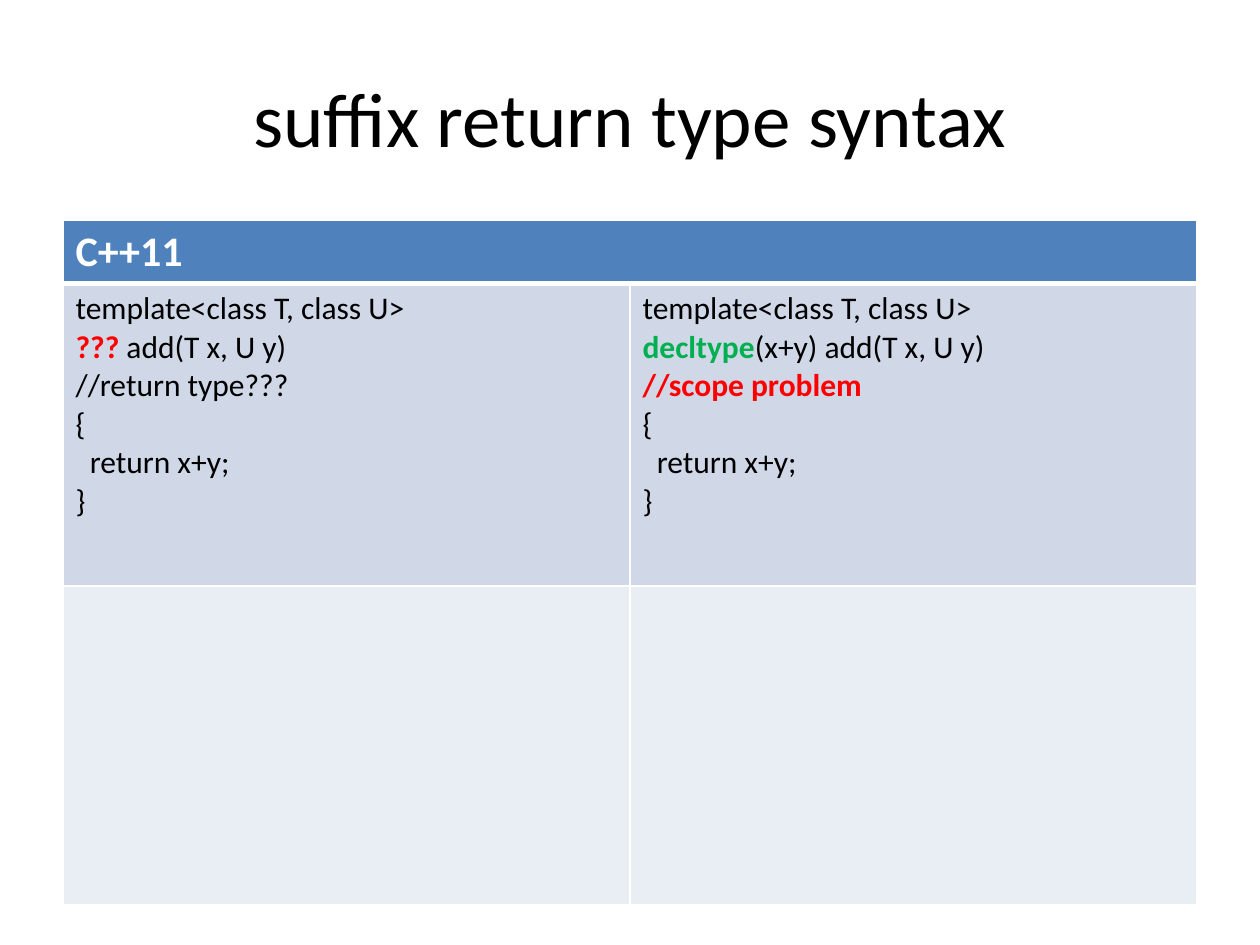
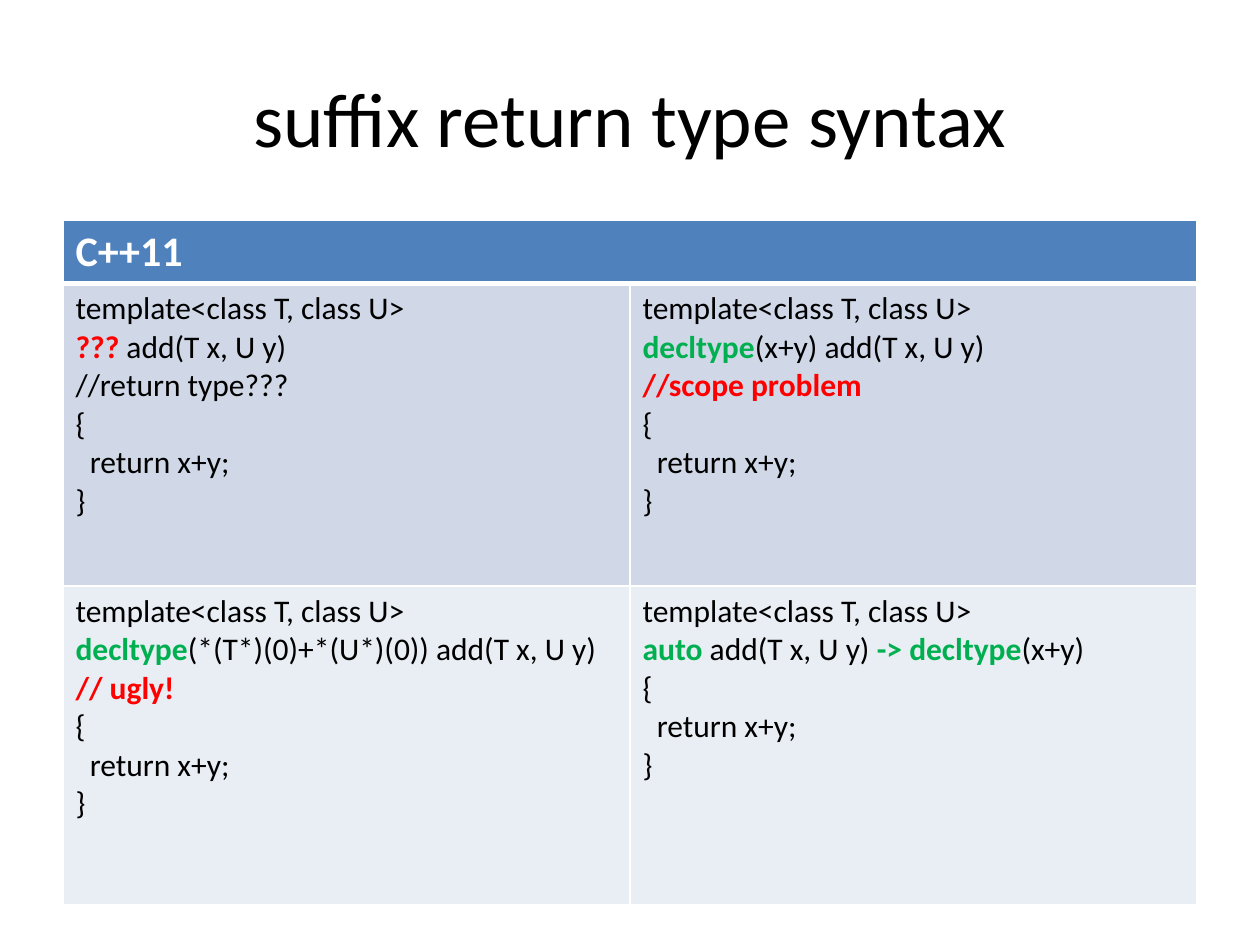
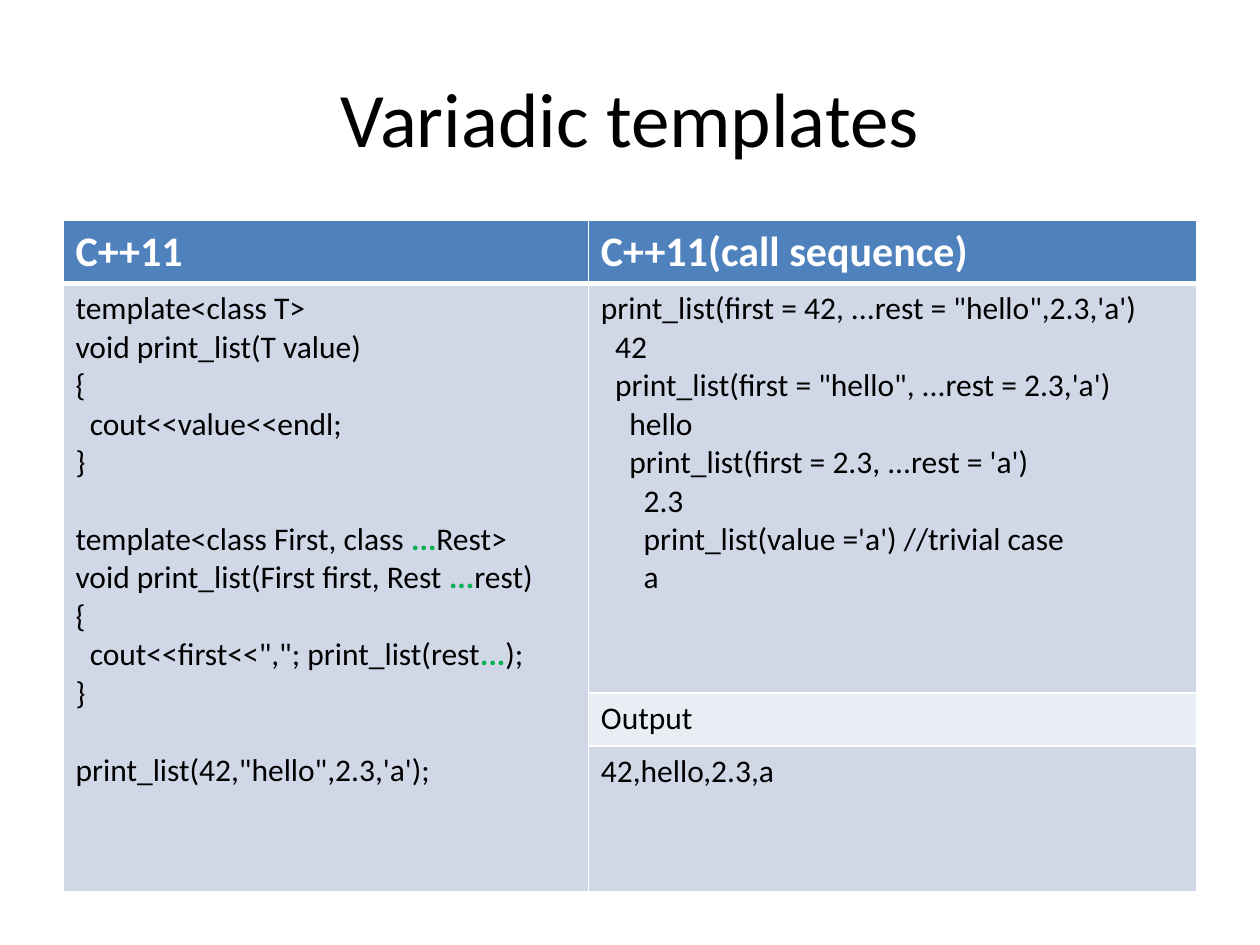
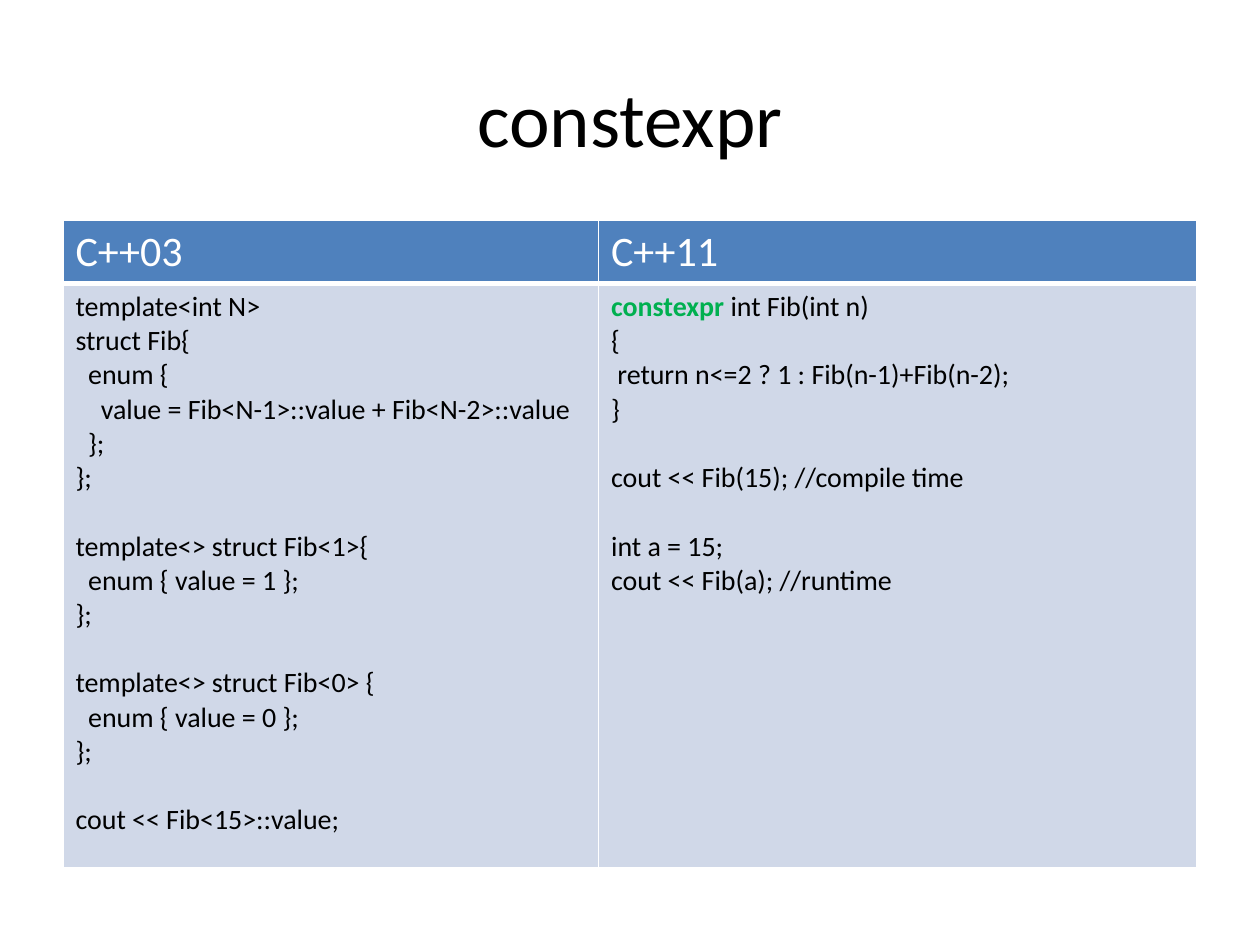
from lxml import etree
from pptx import Presentation
from pptx.dml.color import RGBColor as RGB
from pptx.enum.text import MSO_ANCHOR as Anchor, PP_ALIGN as Align
from pptx.oxml.ns import qn
from pptx.util import Inches, Pt

FONT = "Calibri"
BLACK = RGB(0x00, 0x00, 0x00)
WHITE = RGB(0xFF, 0xFF, 0xFF)
RED = RGB(0xFF, 0x00, 0x00)
GREEN = RGB(0x00, 0xB0, 0x50)
BLUE = RGB(0x4F, 0x81, 0xBD)
BAND = RGB(0xD0, 0xD8, 0xE8)
PALE = RGB(0xE9, 0xED, 0xF4)
FILLS = [BLUE, BAND, PALE, BAND]


def write(frame, lines, look):
    """Write lines made of text and (text, colour) parts; "" opens a gap."""
    para, gap = None, 0
    for line in lines:
        if not line:
            gap = look["size"] * 1.22
            continue
        para = frame.add_paragraph() if para else frame.paragraphs[0]
        if gap:
            para.space_before, gap = Pt(gap), 0
        for part in [line] if isinstance(line, str) else line:
            mark = not isinstance(part, str)
            run = para.add_run()
            run.text = part[0] if mark else part
            run.font.name = FONT
            run.font.size = Pt(look["size"])
            run.font.bold = mark or look["bold"]
            run.font.color.rgb = part[1] if mark else look["color"]


def edge(cell, tag, width):
    line = etree.SubElement(cell._tc.get_or_add_tcPr(), qn(tag), w=str(Pt(width)))
    fill = etree.SubElement(line, qn("a:solidFill"))
    etree.SubElement(fill, qn("a:srgbClr"), val=str(WHITE))


HEAD = "template<class T, class U>"
BODY = ["{", "  return x+y;", "}"]
guess = [HEAD, [("??? ", RED), "add(T x, U y)"], "//return type???"] + BODY
scope = [HEAD, [("decltype", GREEN), "(x+y) add(T x, U y)"],
         [("//scope problem", RED)]] + BODY
ugly = [HEAD, [("decltype", GREEN), "(*(T*)(0)+*(U*)(0)) add(T x, U y)"],
        [("// ugly!", RED)]] + BODY
arrow = [HEAD, [("auto", GREEN), " add(T x, U y) ", ("-> decltype", GREEN),
                "(x+y)"]] + BODY

DOTS = ("...", GREEN)
lists = [
    "template<class T>",
    "void print_list(T value)",
    "{",
    "  cout<<value<<endl;",
    "}",
    "",
    ["template<class First, class ", DOTS, "Rest>"],
    ["void print_list(First first, Rest ", DOTS, "rest)"],
    "{",
    ['  cout<<first<<","; print_list(rest', DOTS, ");"],
    "}",
    "",
    "print_list(42,\"hello\",2.3,'a');",
]
calls = [
    "print_list(first = 42, ...rest = \"hello\",2.3,'a')",
    "  42",
    "  print_list(first = \"hello\", ...rest = 2.3,'a')",
    "    hello",
    "    print_list(first = 2.3, ...rest = 'a')",
    "      2.3",
    "      print_list(value ='a') //trivial case",
    "      a",
]
old = [
    "template<int N>",
    "struct Fib{",
    "  enum {",
    "    value = Fib<N-1>::value + Fib<N-2>::value",
    "  };",
    "};",
    "",
    "template<> struct Fib<1>{",
    "  enum { value = 1 };",
    "};",
    "",
    "template<> struct Fib<0> {",
    "  enum { value = 0 };",
    "};",
    "",
    "cout << Fib<15>::value;",
]
new = [
    [("constexpr ", GREEN), "int Fib(int n)"],
    "{",
    " return n<=2 ? 1 : Fib(n-1)+Fib(n-2);",
    "}",
    "",
    "cout << Fib(15); //compile time",
    "",
    "int a = 15;",
    "cout << Fib(a); //runtime",
]

suffix = dict(title="suffix return type syntax", cols=[4.5, 4.5],
              rows=[0.5, 2.4, 2.53], span=[(0, 0), (0, 1)], bold=True, size=18)
SLIDES = [
    dict(suffix, cells=[[["C++11"], []], [guess, scope], [[], []]]),
    dict(suffix, cells=[[["C++11"], []], [guess, scope], [ugly, arrow]]),
    dict(title="Variadic templates", cols=[4.17, 4.83],
         rows=[0.5, 3.25, 0.42, 1.16], span=[(1, 0), (3, 0)], bold=True, size=18,
         cells=[[["C++11"], ["C++11(call sequence)"]], [lists, calls],
                [[], ["Output"]], [[], ["42,hello,2.3,a"]]]),
    dict(title="constexpr", cols=[4.25, 4.75], rows=[0.5, 4.64], span=None,
         bold=False, size=16, cells=[[["C++03"], ["C++11"]], [old, new]]),
]

deck = Presentation()
deck.slide_width, deck.slide_height = Inches(10), Inches(7.5)

for item in SLIDES:
    slide = deck.slides.add_slide(deck.slide_layouts[6])
    title = slide.shapes.add_textbox(
        Inches(0.5), Inches(0.3), Inches(9), Inches(1.25)).text_frame
    title.word_wrap = True
    title.vertical_anchor = Anchor.MIDDLE
    write(title, [item["title"]], dict(size=44, bold=False, color=BLACK))
    title.paragraphs[0].alignment = Align.CENTER

    rows, cols = item["rows"], item["cols"]
    table = slide.shapes.add_table(
        len(rows), len(cols), Inches(0.5), Inches(1.75),
        Inches(9), Inches(sum(rows))).table
    for col, width in zip(table.columns, cols):
        col.width = Inches(width)
    for row, height in zip(table.rows, rows):
        row.height = Inches(height)
    if item["span"]:
        first, last = item["span"]
        table.cell(*first).merge(table.cell(*last))

    top = dict(size=24, bold=item["bold"], color=WHITE)
    code = dict(size=item["size"], bold=False, color=BLACK)
    for r, line in enumerate(item["cells"]):
        for c, text in enumerate(line):
            cell = table.cell(r, c)
            edges = {"a:lnL": 1, "a:lnR": 1, "a:lnT": 3 if r == 1 else 1,
                     "a:lnB": 3 if r == 0 else 1}
            for tag, width in edges.items():
                edge(cell, tag, width)
            cell.fill.solid()
            cell.fill.fore_color.rgb = FILLS[r]
            write(cell.text_frame, text, code if r else top)

deck.save("out.pptx")
